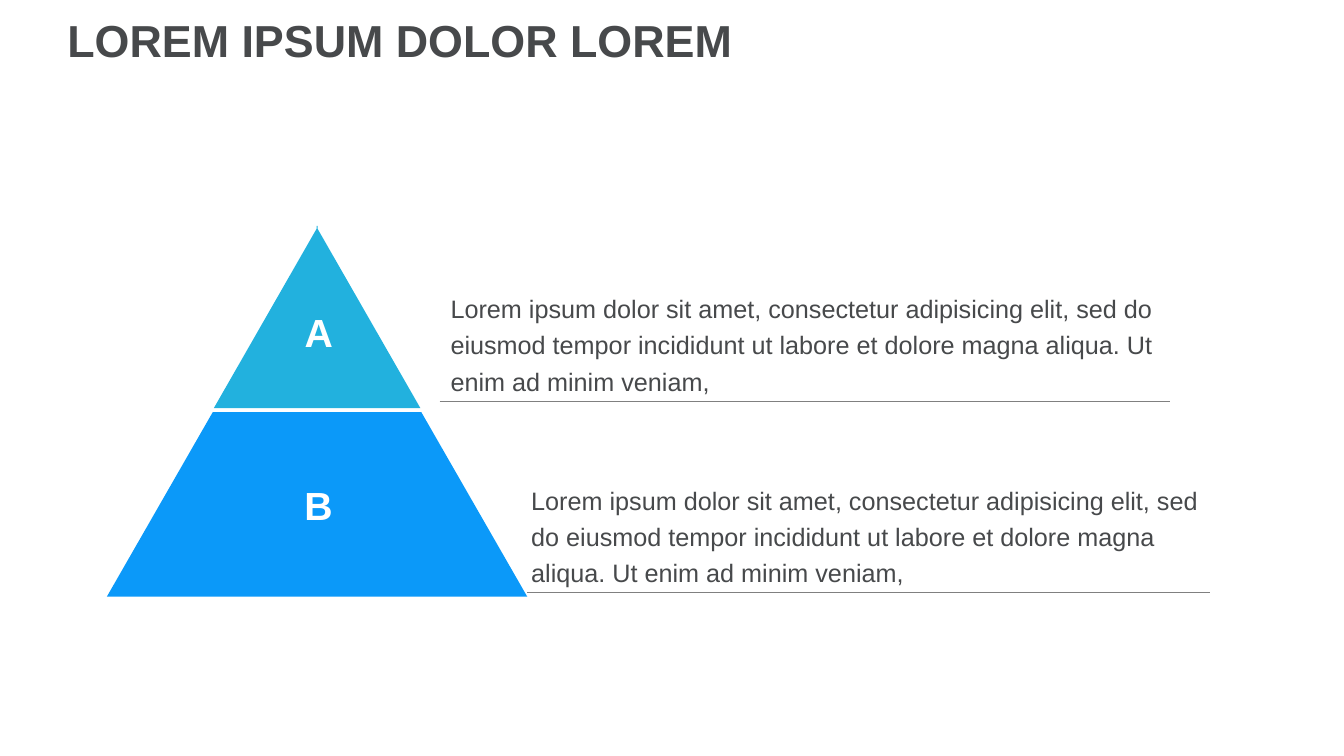
from pptx import Presentation
from pptx.dml.color import RGBColor
from pptx.enum.shapes import MSO_CONNECTOR
from pptx.enum.text import MSO_ANCHOR, PP_ALIGN
from pptx.oxml.ns import qn
from pptx.util import Inches, Pt
from lxml import etree

LEFT, CENTER = PP_ALIGN.LEFT, PP_ALIGN.CENTER
MIDDLE, BOTTOM = MSO_ANCHOR.MIDDLE, MSO_ANCHOR.BOTTOM
STRAIGHT = MSO_CONNECTOR.STRAIGHT

LOREM = ("Lorem ipsum dolor sit amet, consectetur adipisicing elit, sed do "
         "eiusmod tempor incididunt ut labore et dolore magna aliqua. "
         "Ut enim ad minim veniam,")


def rgb(value):
    return RGBColor.from_string(value)


class SlideBuilder:
    FONT = "Arial"
    TEXT = "47494B"
    RULE = "808080"
    WHITE = "FFFFFF"

    def __init__(self, s):
        self.s = s

    def fill_text(self, tf, text, size, color, bold=False, align=LEFT,
                  anchor=MIDDLE, spacing=1.0):
        tf.word_wrap = True
        tf.vertical_anchor = anchor
        p = tf.paragraphs[0]
        p.alignment = align
        p.line_spacing = spacing
        r = p.add_run()
        r.text = text
        r.font.name = self.FONT
        r.font.size = Pt(size)
        r.font.bold = bold
        r.font.color.rgb = rgb(color)

    def text(self, box, text, size, **style):
        sp = self.s.shapes.add_textbox(*map(Inches, box))
        self.fill_text(sp.text_frame, text, size, self.TEXT, **style)

    def tier(self, points, fill, letter, top_inset):
        corners = [(Inches(x), Inches(y)) for x, y in points]
        fb = self.s.shapes.build_freeform(*corners[0])
        fb.add_line_segments(corners[1:])
        sp = fb.convert_to_shape()
        sp.shadow.inherit = False
        sp.fill.solid()
        sp.fill.fore_color.rgb = rgb(fill)
        sp.line.fill.background()
        tf = sp.text_frame
        tf.margin_left, tf.margin_top = Inches(0.03), Inches(top_inset)
        tf.margin_right = tf.margin_bottom = 0
        self.fill_text(tf, letter, 28, self.WHITE, bold=True, align=CENTER)

    def rule(self, x1, x2, y):
        c = self.s.shapes.add_connector(
            STRAIGHT, Inches(x1), Inches(y), Inches(x2), Inches(y))
        c.line.color.rgb = rgb(self.RULE)
        c.line.width = Pt(0.5)
        etree.SubElement(c._element.spPr, qn("a:effectLst"))


def main():
    prs = Presentation()
    prs.slide_width, prs.slide_height = Inches(13.33), Inches(7.5)
    b = SlideBuilder(prs.slides.add_slide(prs.slide_layouts[6]))

    # Pyramid tiers
    b.tier([(3.15, 2.27), (3.15, 2.24), (3.14, 2.24), (3.14, 2.27),
            (2.12, 4.05), (4.17, 4.05)], "22B1DE", "A", 0.3)
    b.tier([(1.06, 5.92), (5.23, 5.92), (4.18, 4.09), (2.11, 4.09)],
           "0B99F9", "B", 0)

    # Descriptions, each standing on its rule
    height = 1.37
    for text_x, rule_x, right, y in ((4.37, 4.36, 11.6, 3.98),
                                     (5.17, 5.23, 12, 5.88)):
        b.rule(rule_x, right, y)
        b.text((text_x, y - height, right - text_x, height), LOREM, 18,
               anchor=BOTTOM, spacing=1.2)

    # Title
    b.text((0.57, 0.08, 12.07, 0.7), "LOREM IPSUM DOLOR LOREM", 32,
           bold=True, spacing=0.9)

    prs.save("out.pptx")


if __name__ == "__main__":
    main()
